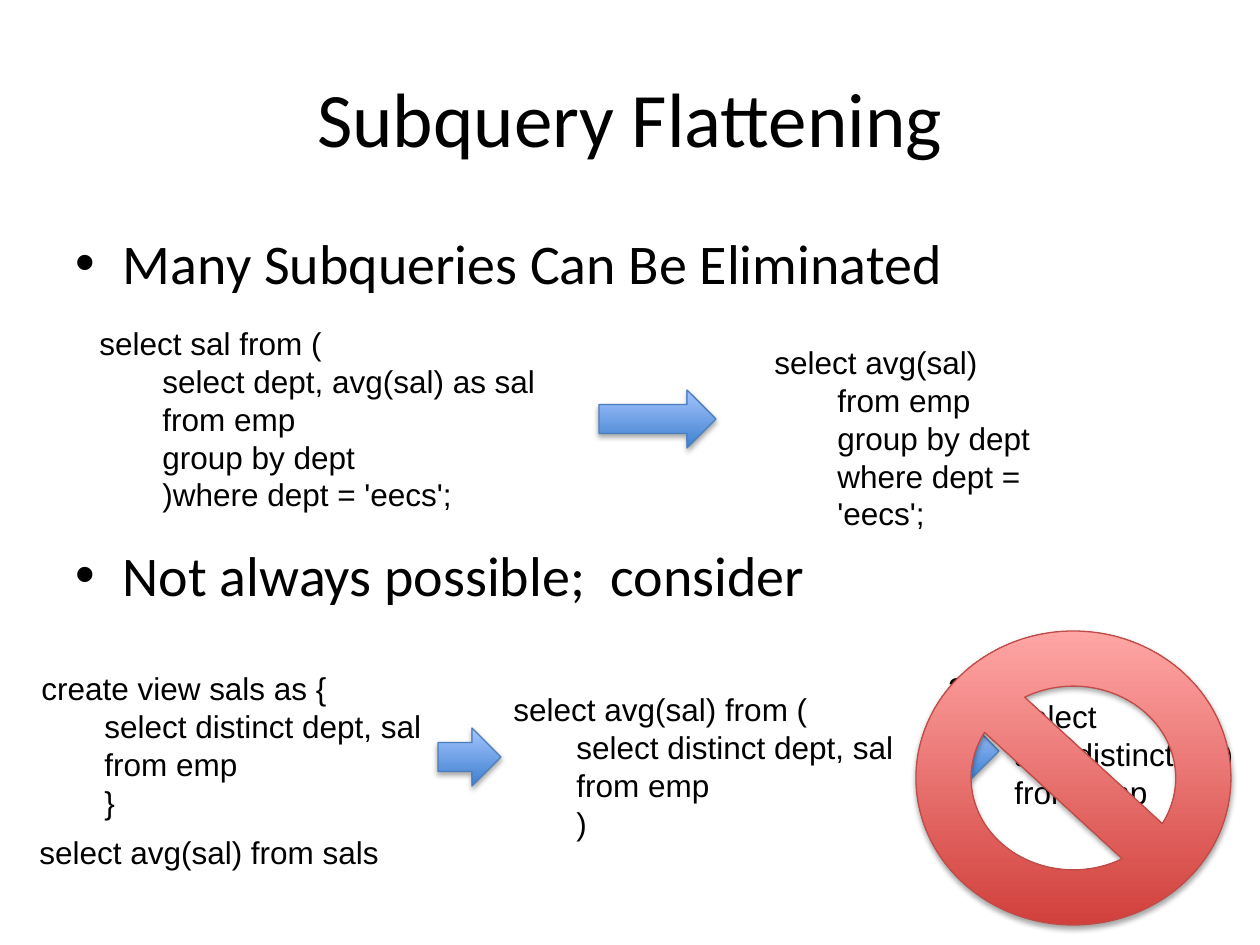
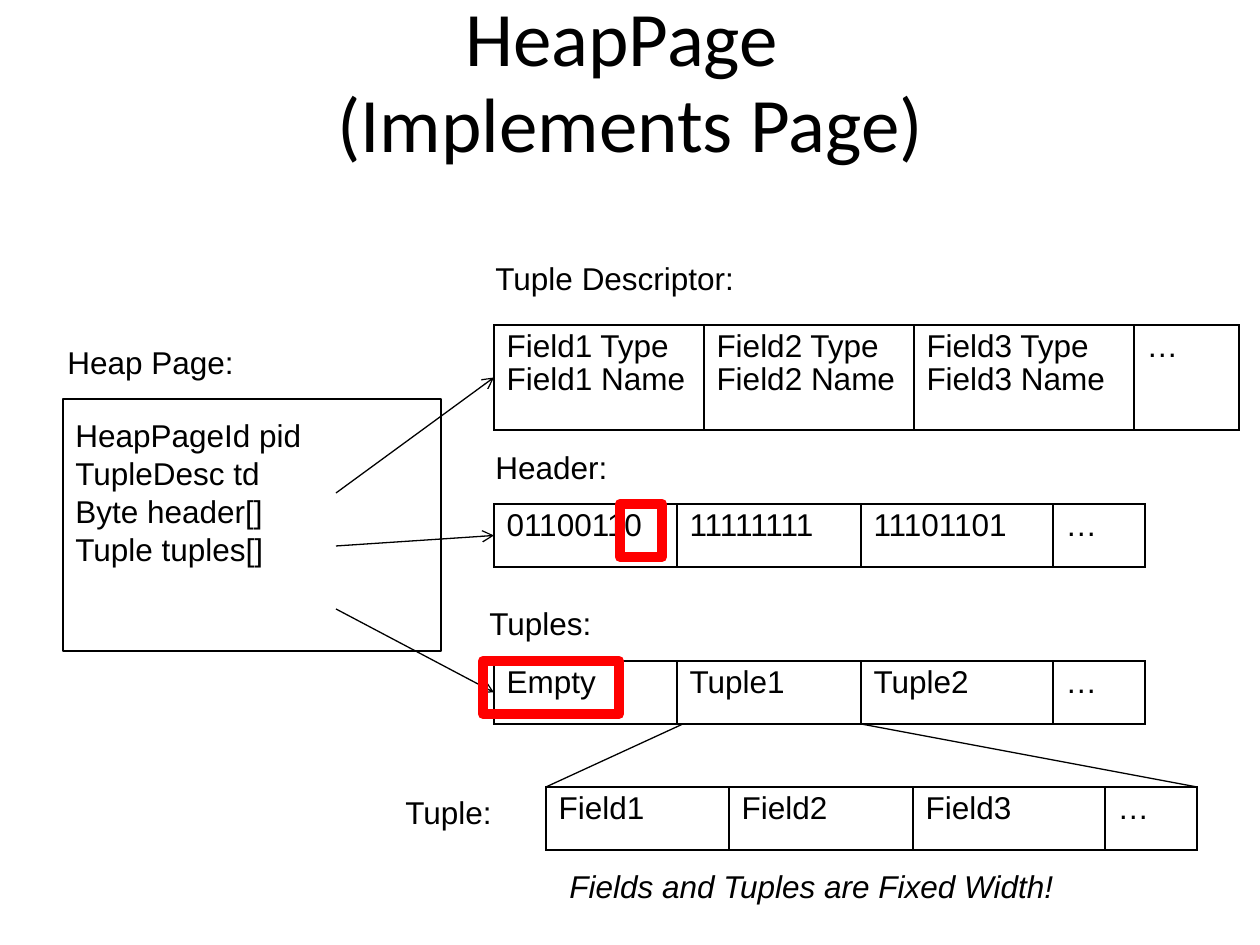
from lxml.etree import SubElement
from pptx import Presentation
from pptx.dml.color import RGBColor
from pptx.enum.shapes import MSO_CONNECTOR as CONN, MSO_SHAPE as SHAPE
from pptx.enum.text import MSO_ANCHOR as ANCHOR, MSO_AUTO_SIZE as AUTO, PP_ALIGN as ALIGN
from pptx.oxml.ns import qn
from pptx.util import Pt

PX = 914400 / 126
COLORS = {
    "ink": "000000",
    "blue_dark": "3F80CE", "blue_light": "A4C4FF", "blue_line": "4B7EBC",
    "red_dark": "D1403C", "red_light": "FFA6A5", "red_line": "BF4C48",
    "mark": "FF0000",
}
HEAD_FONT, TEXT_FONT = "Calibri", "Arial"
INDENT = 63
DESCRIPTOR_COLS = [210, 210, 220, 105]
RECORD_COLS = [183, 184, 192, 92]


def px(n):
    return round(n * PX)


def box(*lengths):
    return [px(n) for n in lengths]


def color(name):
    return RGBColor.from_string(COLORS[name])


def add_run(p, text, size=18, font=TEXT_FONT, italic=None):
    r = p.add_run()
    r.text = text
    r.font.size = Pt(size)
    r.font.name = font
    r.font.italic = italic
    r.font.color.rgb = color("ink")


def place(sp, bounds):
    sp.left, sp.top, sp.width, sp.height = box(*bounds)


def set_title(slide, lines, bounds, spacing=None):
    sp = slide.shapes.title
    place(sp, bounds)
    tf = sp.text_frame
    tf.auto_size = AUTO.NONE
    tf.vertical_anchor = ANCHOR.MIDDLE
    p = tf.paragraphs[0]
    p.alignment = ALIGN.CENTER
    p.line_spacing = spacing
    for i, line in enumerate(lines):
        if i:
            p.add_line_break()
        add_run(p, line, 44, HEAD_FONT)


def set_bullets(slide, items, bounds, gap):
    sp = slide.placeholders[1]
    place(sp, bounds)
    tf = sp.text_frame
    tf.auto_size = AUTO.NONE
    for i, item in enumerate(items):
        p = tf.add_paragraph() if i else tf.paragraphs[0]
        p.space_before = Pt(gap if i else 0)
        add_run(p, item, 32, HEAD_FONT)


def add_text(slide, lines, bounds, indent=0, italic=None):
    """Add a text box whose lines after the first are indented by indent px."""
    tf = slide.shapes.add_textbox(*box(*bounds)).text_frame
    tf.word_wrap = True
    for i, line in enumerate(lines):
        p = tf.add_paragraph() if i else tf.paragraphs[0]
        if i and indent:
            p.level = 1
            p._p.get_or_add_pPr().set("marL", str(px(indent)))
        add_run(p, line, italic=italic)


def add_glossy(slide, kind, bounds, hue):
    """Add a shape with a vertical gradient and a soft shadow below."""
    sp = slide.shapes.add_shape(kind, *box(*bounds))
    sp.fill.gradient()
    sp.fill.gradient_angle = 90
    for stop, tone in zip(sp.fill.gradient_stops, ("dark", "light")):
        stop.color.rgb = color(f"{hue}_{tone}")
    sp.line.color.rgb = color(f"{hue}_line")
    sp.line.width = Pt(0.75)
    sp.shadow.inherit = False
    effects = sp._element.spPr.find(qn("a:effectLst"))
    shadow = SubElement(effects, qn("a:outerShdw"), blurRad="40000", dist="23000",
                        dir="5400000", rotWithShape="0")
    black = SubElement(shadow, qn("a:srgbClr"), val=COLORS["ink"])
    SubElement(black, qn("a:alpha"), val="35000")


def add_frame(slide, bounds, name, width):
    sp = slide.shapes.add_shape(SHAPE.RECTANGLE, *box(*bounds))
    sp.shadow.inherit = False
    sp.fill.background()
    sp.line.color.rgb = color(name)
    sp.line.width = Pt(width)


def add_line(slide, start, end, arrow=False):
    """Draw a thin line between two points given in EMU."""
    cxn = slide.shapes.add_connector(CONN.STRAIGHT, *start, *end)
    cxn.line.color.rgb = color("ink")
    cxn.line.width = Pt(0.75)
    if arrow:
        SubElement(cxn.line._get_or_add_ln(), qn("a:tailEnd"), type="arrow")
    SubElement(cxn._element.spPr, qn("a:effectLst"))


def add_borders(cell):
    tc_pr = cell._tc.get_or_add_tcPr()
    for side in ("lnL", "lnR", "lnT", "lnB"):
        ln = SubElement(tc_pr, qn(f"a:{side}"), w=str(Pt(1)))
        fill = SubElement(ln, qn("a:solidFill"))
        SubElement(fill, qn("a:srgbClr"), val=COLORS["ink"])


def add_record(slide, values, x, y, h, cols):
    """Add a one-row table and return its frame."""
    frame = slide.shapes.add_table(1, len(cols), *box(x, y, sum(cols), h))
    table = frame.table
    table.first_row = table.horz_banding = False
    table.rows[0].height = px(h)
    for i, (value, width) in enumerate(zip(values, cols)):
        table.columns[i].width = px(width)
        cell = table.cell(0, i)
        add_borders(cell)
        cell.fill.background()
        for j, line in enumerate(value.split("\n")):
            tf = cell.text_frame
            p = tf.add_paragraph() if j else tf.paragraphs[0]
            p.line_spacing = 0.93
            add_run(p, line)
    return frame


def build_flattening(prs):
    slide = prs.slides.add_slide(prs.slide_layouts[1])
    set_title(slide, ["Subquery Flattening"], (63, 38, 1134, 158))
    set_bullets(slide, ["Many Subqueries Can Be Eliminated",
                        "Not always possible;  consider"], (63, 222, 1134, 622), 140)

    add_text(slide, ["select sal from (", "select dept, avg(sal) as sal", "from emp",
                     "group by dept", ")where dept = 'eecs';"], (87, 318, 465, 204), INDENT)
    add_text(slide, ["select avg(sal)", "from emp", "group by dept",
                     "where dept = 'eecs';"], (762, 337, 307, 204), INDENT)
    add_text(slide, ["create view sals as {", "select distinct dept, sal", "from emp", "}"],
             (29, 663, 630, 165), INDENT)
    add_text(slide, ["select avg(sal) from sals"], (27, 827, 368, 50))
    add_text(slide, ["select avg(sal) from (", "select distinct dept, sal", "from emp", ")"],
             (501, 684, 630, 165), INDENT)
    add_text(slide, ["select avg(distinct sal) from emp"], (1002, 691, 258, 127))

    for x, y, w in ((599, 390, 117), (438, 728, 63), (936, 722, 63)):
        add_glossy(slide, SHAPE.RIGHT_ARROW, (x, y, w, 58), "blue")
    add_text(slide, ["?"], (936, 663, 59, 50))
    add_glossy(slide, SHAPE.NO_SYMBOL, (916, 631, 315, 294), "red")


def build_heap_page(prs):
    slide = prs.slides.add_slide(prs.slide_layouts[5])
    set_title(slide, ["HeapPage ", "(Implements Page)"], (95, 21, 1071, 126), 0.93)

    add_frame(slide, (63, 399, 378, 252), "ink", 0.75)
    add_text(slide, ["HeapPageId pid", "TupleDesc td", "Byte header[]", "Tuple tuples[]"],
             (63, 410, 368, 217))

    fields = [f"Field{n} Type\nField{n} Name" for n in (1, 2, 3)]
    descriptor = add_record(slide, fields + ["…"], 494, 325, 105, DESCRIPTOR_COLS)
    header = add_record(slide, ["01100110", "11111111", "11101101", "…"],
                        494, 504, 63, RECORD_COLS)
    tuples = add_record(slide, ["Empty", "Tuple1", "Tuple2", "…"], 494, 661, 63, RECORD_COLS)
    add_record(slide, ["Field1", "Field2", "Field3", "…"], 546, 787, 63, RECORD_COLS)

    for y, target in ((493, descriptor), (546, header), (609, tuples)):
        middle = target.top + target.height // 2
        add_line(slide, box(336, y), (target.left, middle), arrow=True)
    add_line(slide, box(546, 787), box(683, 724))
    add_line(slide, box(861, 724), box(1197, 787))

    for label, x, y, w in (("Heap Page:", 55, 337, 250), ("Tuple Descriptor:", 483, 253, 347),
                           ("Header:", 483, 442, 176), ("Tuples:", 477, 598, 163),
                           ("Tuple:", 393, 787, 141)):
        add_text(slide, [label], (x, y, w, 64))

    add_frame(slide, (620, 504, 42, 53), "mark", 6)
    add_frame(slide, (483, 661, 136, 53), "mark", 6)
    add_text(slide, ["Fields and Tuples are Fixed Width!"], (557, 861, 640, 64), italic=True)


def main():
    prs = Presentation()
    prs.slide_width, prs.slide_height = box(1260, 945)
    build_flattening(prs)
    build_heap_page(prs)
    prs.save("out.pptx")


if __name__ == "__main__":
    main()
